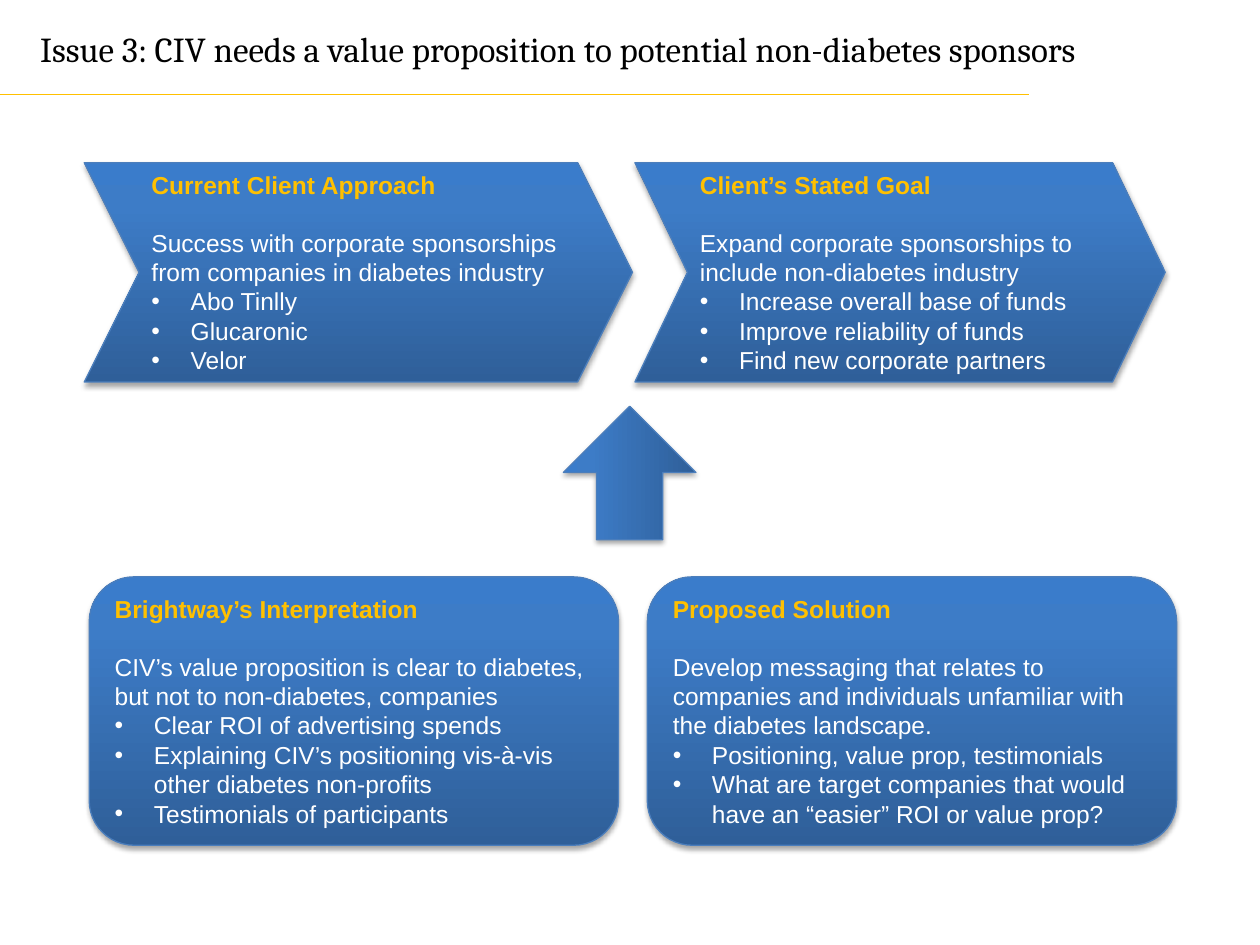
from copy import deepcopy

from lxml.etree import SubElement
from pptx import Presentation
from pptx.dml.color import RGBColor
from pptx.enum.shapes import MSO_CONNECTOR as Link, MSO_SHAPE as Shape
from pptx.enum.text import MSO_ANCHOR as Anchor, PP_ALIGN as Align
from pptx.oxml.ns import qn
from pptx.util import Cm, Pt

BLACK = RGBColor(0x00, 0x00, 0x00)
WHITE = RGBColor(0xFF, 0xFF, 0xFF)
GOLD = RGBColor(0xFF, 0xC0, 0x00)
EDGE = RGBColor(0x4B, 0x7E, 0xBC)
DEEP = RGBColor(0x2F, 0x5F, 0x99)
MID = RGBColor(0x3D, 0x7C, 0xC7)
BRIGHT = RGBColor(0x3A, 0x7C, 0xCB)
GRADIENT = ((0, DEEP), (0.8, MID), (1, BRIGHT))


class Board:
    title_font, body_font = "Cambria", "Arial"
    title_size, body_size = Pt(20), Pt(14)
    line_width = Pt(0.75)
    heading_gap = Pt(16.1)
    bullet_indent = Cm(0.79)

    def __init__(self, slide):
        self.slide = slide

    def set_text(self, paragraph, text, color, bold=False):
        paragraph.text = text
        paragraph.alignment = Align.LEFT
        font = paragraph.runs[0].font
        font.name, font.size = self.body_font, self.body_size
        font.bold, font.color.rgb = bold, color

    def bullet(self, paragraph):
        props = paragraph._p.get_or_add_pPr()
        props.set("marL", str(self.bullet_indent))
        props.set("indent", str(-self.bullet_indent))
        SubElement(props, qn("a:buFont"), typeface=self.body_font)
        SubElement(props, qn("a:buChar"), char="•")

    def title(self, text, left, top, width, height):
        title = self.slide.shapes.add_textbox(Cm(left), Cm(top), Cm(width), Cm(height))
        title.text_frame.word_wrap = True
        title.text_frame.text = text
        font = title.text_frame.paragraphs[0].runs[0].font
        font.name, font.size, font.color.rgb = self.title_font, self.title_size, BLACK

    def rule(self, left, right, top):
        rule = self.slide.shapes.add_connector(
            Link.STRAIGHT, Cm(left), Cm(top), Cm(right), Cm(top))
        rule.line.color.rgb, rule.line.width = GOLD, self.line_width
        SubElement(rule._element.spPr, qn("a:effectLst"))

    def block(self, kind, left, top, width, height):
        block = self.slide.shapes.add_shape(kind, Cm(left), Cm(top), Cm(width), Cm(height))
        block.fill.gradient()
        block.fill.gradient_angle = 90
        stops = block._element.spPr.find(".//" + qn("a:gsLst"))
        stops.append(deepcopy(stops[0]))
        for stop, (position, color) in zip(block.fill.gradient_stops, GRADIENT):
            stop.position, stop.color.rgb = position, color
        block.line.color.rgb, block.line.width = EDGE, self.line_width
        self.shade(block)
        return block

    def shade(self, block):
        block.shadow.inherit = False
        effects = block._element.spPr.find(qn("a:effectLst"))
        shadow = SubElement(effects, qn("a:outerShdw"), blurRad=str(Pt(3.1)),
                            dist=str(Pt(1.8)), dir="5400000", rotWithShape="0")
        color = SubElement(shadow, qn("a:srgbClr"), val=str(BLACK))
        SubElement(color, qn("a:alpha"), val="35000")

    def panel(self, kind, box, heading, summary, points, notch=None):
        panel = self.block(kind, *box)
        if notch:
            panel.adjustments[0] = notch
        frame = panel.text_frame
        frame.word_wrap, frame.vertical_anchor = True, Anchor.MIDDLE
        first = frame.paragraphs[0]
        self.set_text(first, heading, GOLD, bold=True)
        first.space_after = self.heading_gap
        self.set_text(frame.add_paragraph(), summary, WHITE)
        for point in points:
            paragraph = frame.add_paragraph()
            self.set_text(paragraph, point, WHITE)
            self.bullet(paragraph)

    def up_arrow(self, left, top, width, height):
        self.block(Shape.RIGHT_ARROW, left, top, width, height).rotation = 270


def main():
    deck = Presentation()
    deck.slide_width, deck.slide_height = Cm(25.4), Cm(19.05)
    board = Board(deck.slides.add_slide(deck.slide_layouts[6]))

    board.title("Issue 3: CIV needs a value proposition to potential non-diabetes sponsors",
                0.56, 0.43, 24.2, 1.12)
    board.rule(0, 20.75, 1.9)

    chevron_top, chevron_height = 3.28, 4.42
    card_top, card_width, card_height = 11.63, 10.67, 5.41

    board.panel(
        Shape.CHEVRON, (12.8, chevron_top, 10.69, chevron_height),
        "Client’s Stated Goal",
        "Expand corporate sponsorships to include non-diabetes industry",
        ["Increase overall base of funds", "Improve reliability of funds",
         "Find new corporate partners"], notch=0.24)
    board.up_arrow(11.35, 8.2, 2.69, 2.67)
    board.panel(
        Shape.ROUNDED_RECTANGLE, (1.8, card_top, card_width, card_height),
        "Brightway’s Interpretation",
        "CIV’s value proposition is clear to diabetes, but not to non-diabetes, companies",
        ["Clear ROI of advertising spends",
         "Explaining CIV’s positioning vis-à-vis other diabetes non-profits",
         "Testimonials of participants"])
    board.panel(
        Shape.ROUNDED_RECTANGLE, (13.05, card_top, card_width, card_height),
        "Proposed Solution",
        "Develop messaging that relates to companies and individuals unfamiliar "
        "with the diabetes landscape.",
        ["Positioning, value prop, testimonials",
         "What are target companies that would have an “easier” ROI or value prop?"])
    board.panel(
        Shape.CHEVRON, (1.7, chevron_top, 11.05, chevron_height),
        "Current Client Approach",
        "Success with corporate sponsorships from companies in diabetes industry",
        ["Abo Tinlly", "Glucaronic", "Velor"], notch=0.25)

    deck.save("out.pptx")


if __name__ == "__main__":
    main()
